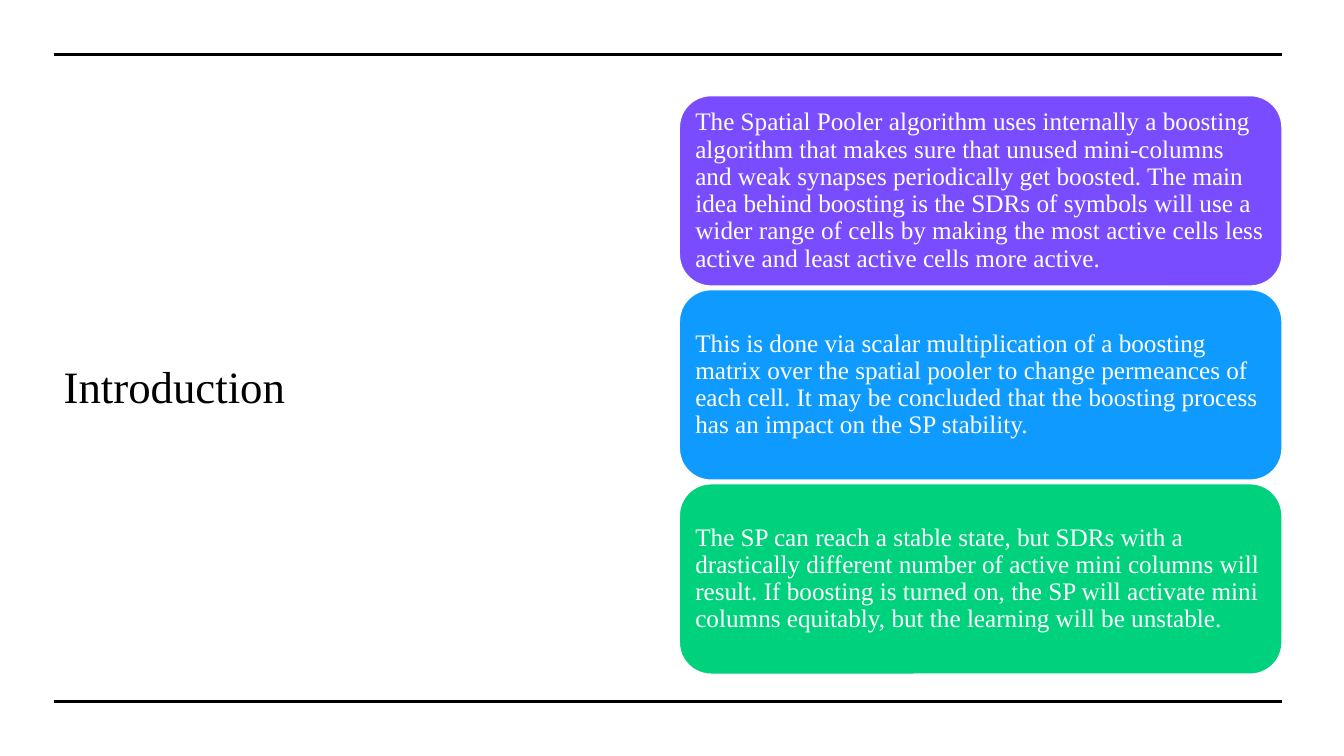
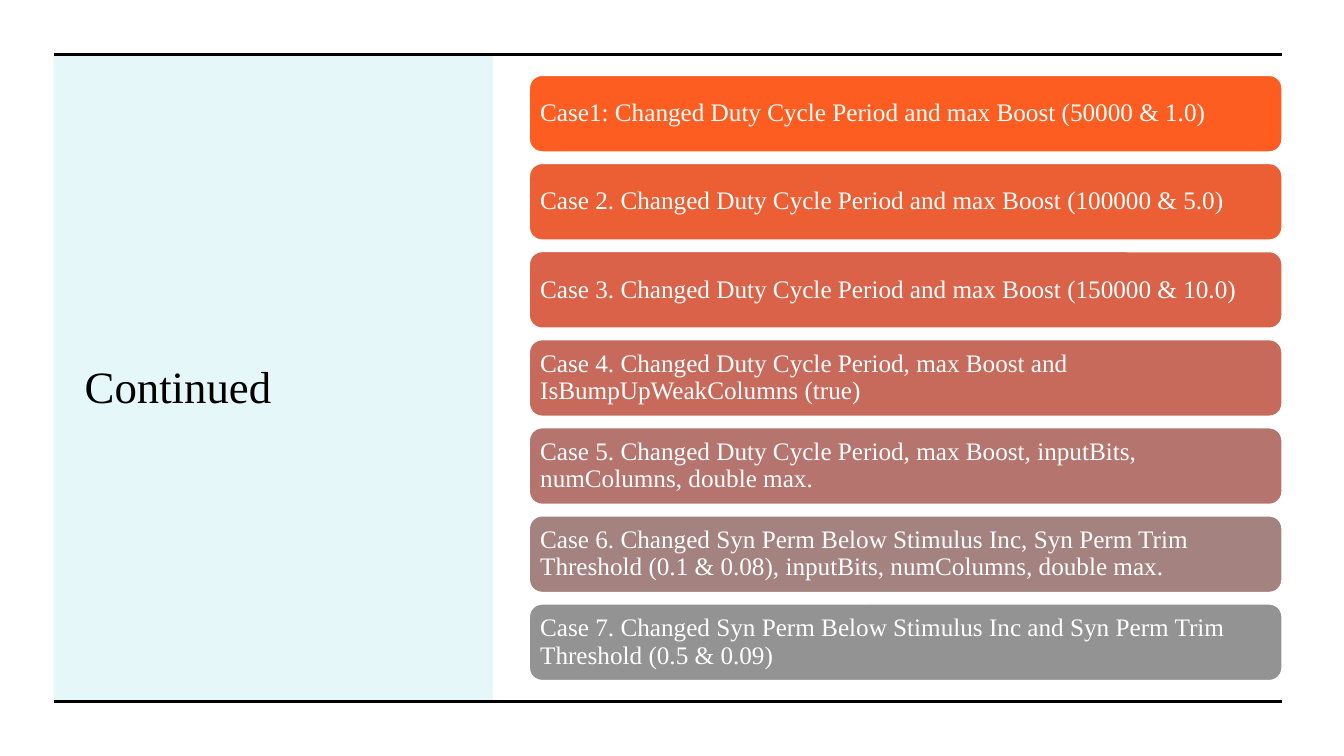
from dataclasses import dataclass

from lxml import etree
from pptx import Presentation
from pptx.dml.color import RGBColor
from pptx.enum import shapes, text
from pptx.oxml import ns
from pptx.util import Cm, Pt

FONT = "Times New Roman"
COLORS = {
    "ink": "000000", "white": "FFFFFF", "panel": "00BAC8",
    "violet": "794DFF", "blue": "0F9AFF", "green": "00D17D",
    "case1": "FE5D21", "case2": "EC5E34", "case3": "DA6248", "case4": "C86A5B",
    "case5": "B6746E", "case6": "A48280", "case7": "939393",
}
LEFT, RIGHT = 1.35, 32.31
RULE_TOP, RULE_BOTTOM = 1.37, 17.68
PANEL_WIDTH = 11.07
PANEL_OPACITY = 10


@dataclass(frozen=True)
class Box:
    left: float
    top: float
    width: float
    height: float

    def lengths(self) -> tuple:
        return Cm(self.left), Cm(self.top), Cm(self.width), Cm(self.height)


@dataclass(frozen=True)
class Card:
    color: str
    text: str


@dataclass(frozen=True)
class CardStack:
    """Cards of equal size, the first one in the given box."""
    first: Box
    gap: float
    inset: float
    cards: tuple[Card, ...]


@dataclass(frozen=True)
class Page:
    title: str
    title_box: Box
    stack: CardStack
    has_panel: bool = False


PAGES = (
    Page("Introduction", Box(LEFT, 2.41, 15.6, 14.6), CardStack(
        Box(17.12, 2.41, 15.19, 4.8), 0.09, 0.17, (
            Card("violet", "The Spatial Pooler algorithm uses internally a boosting algorithm that "
                 "makes sure that unused mini-columns and weak synapses periodically get boosted. "
                 "The main idea behind boosting is the SDRs of symbols will use a wider range of "
                 "cells by making the most active cells less active and least active cells more "
                 "active."),
            Card("blue", "This is done via scalar multiplication of a boosting matrix over the "
                 "spatial pooler to change permeances of each cell. It may be concluded that the "
                 "boosting process has an impact on the SP stability."),
            Card("green", "The SP can reach a stable state, but SDRs with a drastically different "
                 "number of active mini columns will result. If boosting is turned on, the SP will "
                 "activate mini columns equitably, but the learning will be unstable."),
        ))),
    Page("Continued", Box(1.88, 2.72, 9.88, 13.97), CardStack(
        Box(13.34, 1.9, 18.97, 1.93), 0.29, 0.18, (
            Card("case1", "Case1: Changed Duty Cycle Period and max Boost (50000 & 1.0)"),
            Card("case2", "Case 2. Changed Duty Cycle Period and max Boost (100000 & 5.0)"),
            Card("case3", "Case 3. Changed Duty Cycle Period and max Boost (150000 & 10.0)"),
            Card("case4", "Case 4. Changed Duty Cycle Period, max Boost and "
                 "IsBumpUpWeakColumns (true)"),
            Card("case5", "Case 5. Changed Duty Cycle Period, max Boost, inputBits, numColumns, "
                 "double max."),
            Card("case6", "Case 6. Changed Syn Perm Below Stimulus Inc, Syn Perm Trim Threshold "
                 "(0.1 & 0.08), inputBits, numColumns, double max."),
            Card("case7", "Case 7. Changed Syn Perm Below Stimulus Inc and Syn Perm Trim Threshold "
                 "(0.5 & 0.09)"),
        )), has_panel=True),
)


def rgb(name: str) -> RGBColor:
    return RGBColor.from_string(COLORS[name])


def write(sp, content: str, size: float, color: str) -> None:
    """Fill a shape with one left-aligned, vertically centred paragraph."""
    tf = sp.text_frame
    tf.text = content
    tf.word_wrap = True
    tf.auto_size = text.MSO_AUTO_SIZE.NONE
    tf.vertical_anchor = text.MSO_ANCHOR.MIDDLE
    p = tf.paragraphs[0]
    p.alignment = text.PP_ALIGN.LEFT
    p.font.name, p.font.size = FONT, Pt(size)
    p.font.color.rgb = rgb(color)


def add_filled(s, kind: shapes.MSO_SHAPE, box: Box, color: str):
    sp = s.shapes.add_shape(kind, *box.lengths())
    sp.shadow.inherit = False
    sp.fill.solid()
    sp.fill.fore_color.rgb = rgb(color)
    return sp


def add_panel(s) -> None:
    """Add the tinted panel behind everything else."""
    box = Box(LEFT, RULE_TOP, PANEL_WIDTH, RULE_BOTTOM - RULE_TOP)
    sp = add_filled(s, shapes.MSO_SHAPE.RECTANGLE, box, "panel")
    sp.line.fill.background()
    color = sp._element.spPr.find(".//" + ns.qn("a:srgbClr"))
    etree.SubElement(color, ns.qn("a:alpha"), val=str(PANEL_OPACITY * 1000))
    s.shapes.title._element.addprevious(sp._element)


def add_rule(s, y: float) -> None:
    line = s.shapes.add_connector(shapes.MSO_CONNECTOR.STRAIGHT,
                                  Cm(LEFT), Cm(y), Cm(RIGHT), Cm(y))
    line.line.color.rgb = rgb("ink")
    line.line.width = Pt(2.25)
    etree.SubElement(line._element.spPr, ns.qn("a:effectLst"))


def add_stack(s, stack: CardStack) -> None:
    first = stack.first
    for i, card in enumerate(stack.cards):
        top = first.top + i * (first.height + stack.gap)
        box = Box(first.left, top, first.width, first.height)
        sp = add_filled(s, shapes.MSO_SHAPE.ROUNDED_RECTANGLE, box, card.color)
        sp.line.color.rgb = rgb("white")
        sp.line.width = Pt(1)
        write(sp, card.text, 18, "white")
        tf = sp.text_frame
        tf.margin_left = tf.margin_right = tf.margin_top = tf.margin_bottom = Cm(stack.inset)
        tf.paragraphs[0].line_spacing = 0.9


def add_page(prs, page: Page) -> None:
    s = prs.slides.add_slide(prs.slide_layouts[5])
    title = s.shapes.title
    title.left, title.top, title.width, title.height = page.title_box.lengths()
    write(title, page.title, 32, "ink")
    if page.has_panel:
        add_panel(s)
    for y in (RULE_TOP, RULE_BOTTOM):
        add_rule(s, y)
    add_stack(s, page.stack)


def main() -> None:
    prs = Presentation()
    prs.slide_width, prs.slide_height = Cm(33.87), Cm(19.05)
    for page in PAGES:
        add_page(prs, page)
    prs.save("out.pptx")


if __name__ == "__main__":
    main()
